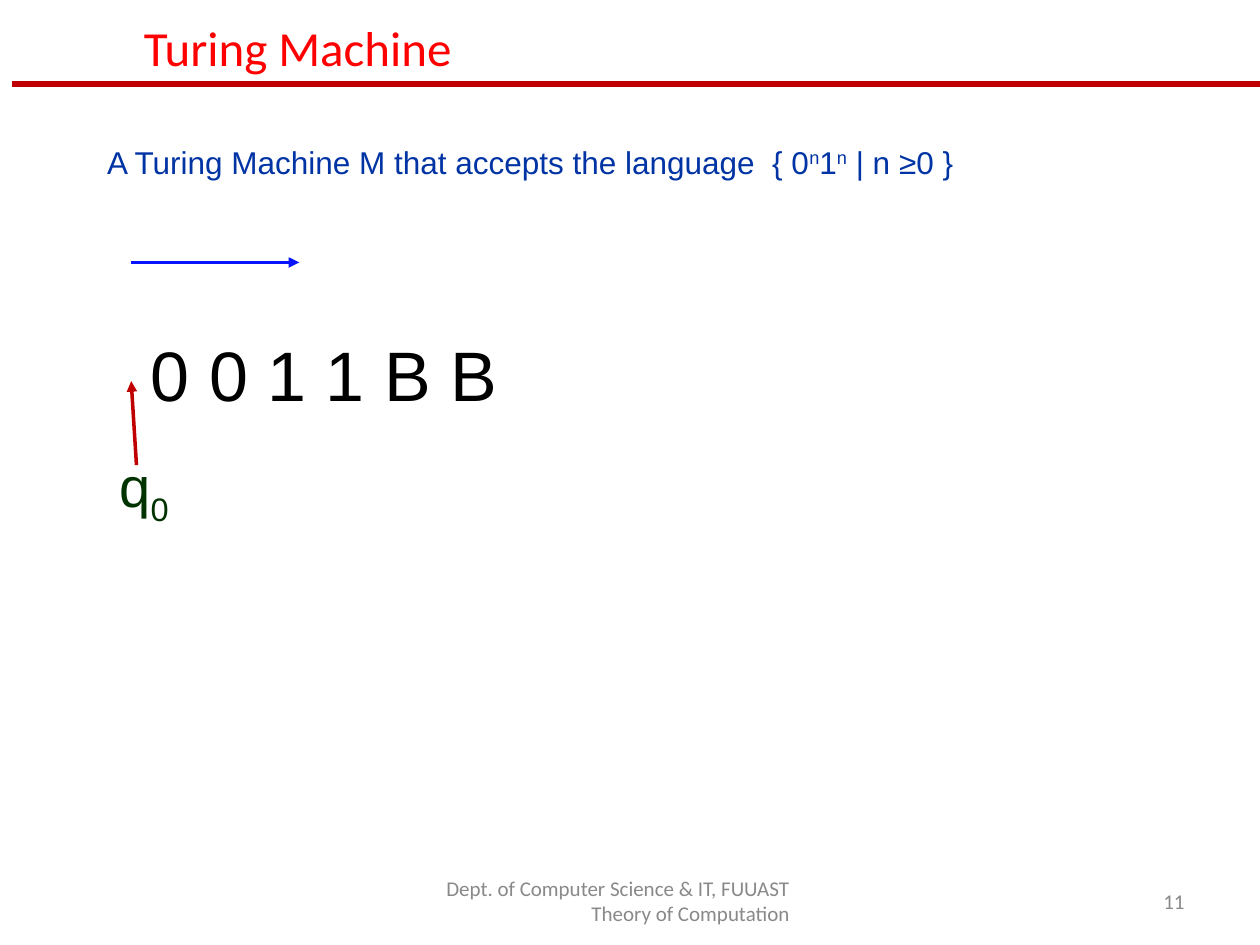
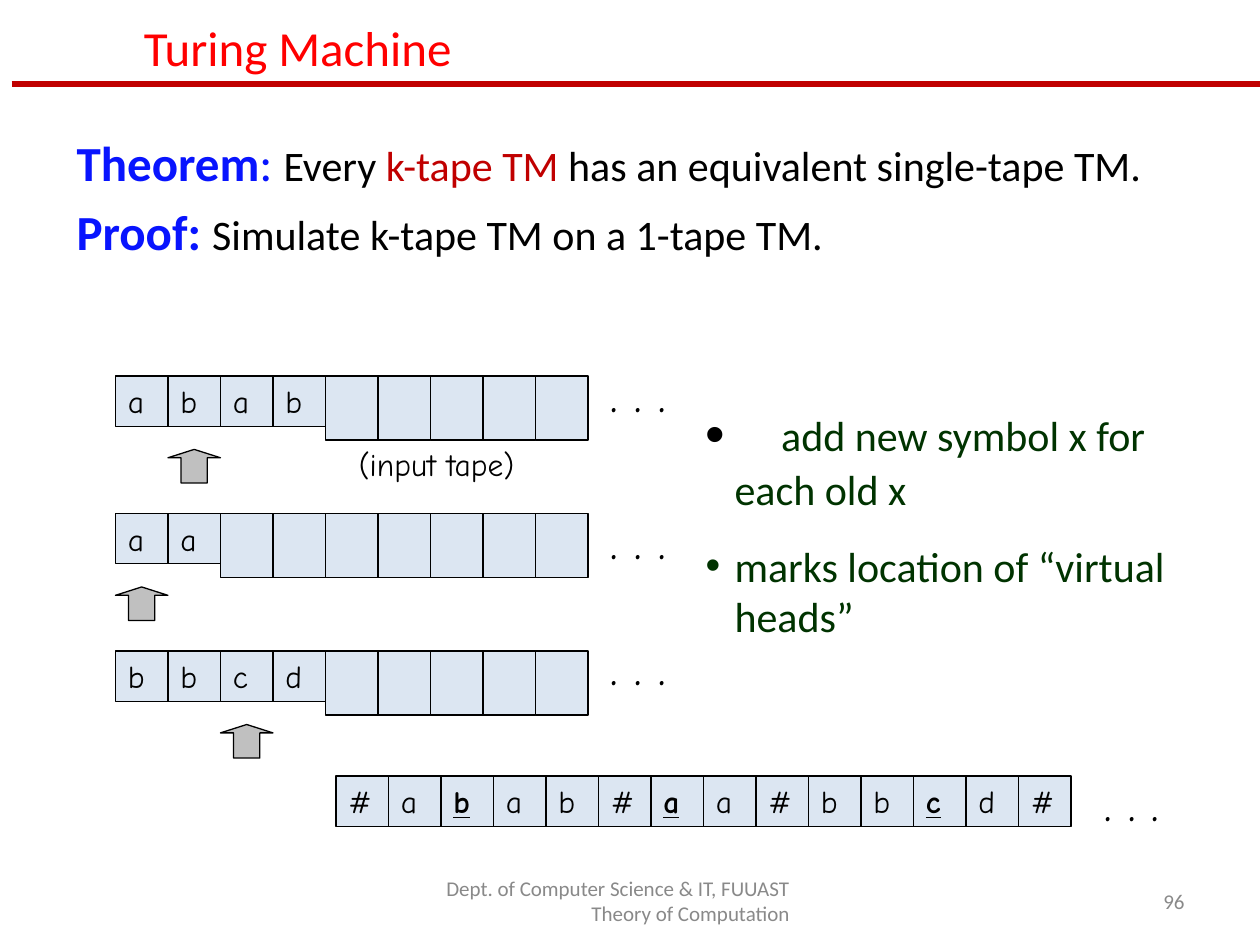
from lxml.etree import SubElement as Sub
from pptx import Presentation
from pptx.dml.color import RGBColor as RGB
from pptx.enum.shapes import MSO_CONNECTOR as Link, MSO_SHAPE as Form
from pptx.enum.text import MSO_ANCHOR as Anchor, MSO_AUTO_SIZE as Fit, PP_ALIGN as Align
from pptx.oxml.ns import qn
from pptx.util import Inches, Pt

BLACK = RGB(0x00, 0x00, 0x00)
GREY = RGB(0x89, 0x89, 0x89)
SILVER = RGB(0xC0, 0xC0, 0xC0)
RED = RGB(0xFF, 0x00, 0x00)
CRIMSON = RGB(0xC0, 0x00, 0x00)
BLUE = RGB(0x08, 0x14, 0xFE)
NAVY = RGB(0x00, 0x33, 0xA4)
GREEN = RGB(0x00, 0x33, 0x00)
PALE = RGB(0xDC, 0xE6, 0xF2)

SANS, BODY, HAND = "Arial", "Calibri", "Comic Neue"

WIDTH, HEIGHT = Inches(10), Inches(7.5)
COLS, ROWS = 120, 90
CELL_W, CELL_H, BLANK_H = 5, 4.8, 6.1
TAPE_LEN = 9


def across(cols):
    return round(WIDTH * cols / COLS)


def down(rows):
    return round(HEIGHT * rows / ROWS)


def place(box):
    """Turn a box in columns and rows into left, top, width, height."""
    x, y, w, h = box
    return across(x), down(y), across(w), down(h)


def add_run(para, text, size, color, font=BODY, bold=False, line=False, shift=0):
    run = para.add_run()
    run.text = text
    face = run.font
    face.size, face.name, face.bold, face.underline = Pt(size), font, bold, line
    face.color.rgb = color
    if shift:
        run._r.get_or_add_rPr().set("baseline", str(shift * 1000))


def set_frame(shape, anchor=Anchor.TOP):
    frame = shape.text_frame
    frame.word_wrap = True
    frame.auto_size = Fit.NONE
    frame.vertical_anchor = anchor
    return frame


def add_text(slide, box, anchor=Anchor.TOP):
    return set_frame(slide.shapes.add_textbox(*place(box)), anchor)


def fill_holder(slide, index, box, anchor=Anchor.TOP):
    """Move a template placeholder to the box and return its text frame."""
    holder = slide.placeholders[index]
    holder.left, holder.top, holder.width, holder.height = place(box)
    return set_frame(holder, anchor)


def next_para(frame, first, before=0):
    para = frame.paragraphs[0] if first else frame.add_paragraph()
    para.alignment = Align.LEFT
    para.space_before = Pt(0 if first else before)
    return para


def set_bullet(para, left=0, color=None, scale=100):
    """Hang the text at left inches; without a colour there is no bullet."""
    props = para._p.get_or_add_pPr()
    props.set("marL", str(Inches(left)))
    props.set("indent", str(-Inches(left) if color is not None else 0))
    if color is None:
        Sub(props, qn("a:buNone"))
        return
    Sub(Sub(props, qn("a:buClr")), qn("a:srgbClr"), val=str(color))
    Sub(props, qn("a:buSzPct"), val=str(scale * 1000))
    Sub(props, qn("a:buFont"), typeface=SANS)
    Sub(props, qn("a:buChar"), char="•")


def add_line(slide, start, end, color, width, arrow=False):
    (x1, y1), (x2, y2) = start, end
    line = slide.shapes.add_connector(
        Link.STRAIGHT, across(x1), down(y1), across(x2), down(y2))
    line.line.color.rgb = color
    line.line.width = Pt(width)
    if arrow:
        Sub(line.line._get_or_add_ln(), qn("a:tailEnd"), type="triangle")
    Sub(line._element.spPr, qn("a:effectLst"))


def add_form(slide, form, box, fill):
    shape = slide.shapes.add_shape(form, *place(box))
    shape.shadow.inherit = False
    shape.fill.solid()
    shape.fill.fore_color.rgb = fill
    shape.line.color.rgb = BLACK
    shape.line.width = Pt(0.75)
    return shape


def draw_base(slide, number):
    """Title, rule, footer and slide number."""
    title = fill_holder(slide, 0, (12.5, 2.05, 82.4, 4.9), Anchor.MIDDLE)
    add_run(next_para(title, True), "Turing Machine", 28, RED)
    add_line(slide, (1.1, 8), (COLS, 8), CRIMSON, 3.25)
    notes = (
        ((38, 83.4, 38.4, 4.8),
         ("Dept. of Computer Science & IT, FUUAST", "Theory of Computation")),
        ((86, 83.4, 28, 4.8), (str(number),)),
    )
    for box, lines in notes:
        frame = add_text(slide, box, Anchor.MIDDLE)
        for i, text in enumerate(lines):
            para = next_para(frame, i == 0)
            para.alignment = Align.RIGHT
            add_run(para, text, 12, GREY)


def draw_claim(slide, box):
    para = next_para(fill_holder(slide, 1, box), True)
    set_bullet(para)
    parts = (("A Turing Machine M that accepts the language  { 0", 0),
             ("n", 30), ("1", 0), ("n", 30), (" | n ≥0 }", 0))
    for text, shift in parts:
        add_run(para, text, 18, NAVY, SANS, shift=shift)


def draw_state(slide, box):
    """Tape content with the head in its start state."""
    x, y, w, h = box
    add_line(slide, (x + 2.3, y), (x + 18.3, y), BLUE, 2, True)
    tape = add_text(slide, (x + 3, y + 6, w - 3, 9.2))
    add_run(next_para(tape, True), "0 0 1 1 B B", 40, BLACK, SANS)
    state = next_para(add_text(slide, (x, y + h - 8.5, 9, 8.5)), True)
    add_run(state, "q", 32, GREEN, SANS)
    add_run(state, "0", 32, GREEN, SANS, shift=-25)
    add_line(slide, (x + 2.8, y + 19.3), (x + 2.3, y + 11.3), CRIMSON, 2, True)


def draw_proof(slide, box):
    frame = fill_holder(slide, 1, box)
    lines = (
        (("Theorem", 28, BLUE, True), (": ", 28, BLUE, False),
         ("Every ", 24, BLACK, False), ("k-tape TM ", 24, CRIMSON, False),
         ("has an equivalent single-tape TM.", 24, BLACK, False)),
        (("Proof: ", 28, BLUE, True),
         ("Simulate k-tape TM on a 1-tape TM.", 24, BLACK, False)),
    )
    for i, parts in enumerate(lines):
        para = next_para(frame, i == 0, 6)
        set_bullet(para)
        for text, size, color, bold in parts:
            add_run(para, text, size, color, bold=bold)


def draw_points(slide, box):
    frame = fill_holder(slide, 2, box)
    points = (
        ("add new symbol x for", 0.6, BLACK, 133, 0),
        ("each old x", 0.23, None, 100, 2),
        ("marks location of “virtual heads”", 0.23, GREEN, 100, 15),
    )
    for i, (text, left, dot, scale, before) in enumerate(points):
        para = next_para(frame, i == 0, before)
        set_bullet(para, left, dot, scale)
        add_run(para, text, 24, GREEN)


def draw_cells(slide, x, y, signs, count, marks=()):
    """A row of cells; those past the last sign are blank and taller."""
    for i in range(count):
        high = CELL_H if i < len(signs) else BLANK_H
        box = (x + i * CELL_W, y, CELL_W, high)
        cell = add_form(slide, Form.RECTANGLE, box, PALE)
        if i < len(signs):
            marked = i in marks
            add_run(next_para(set_frame(cell), True), signs[i], 18, BLACK,
                    HAND, marked, marked)


def draw_dots(slide, x, y, w):
    para = next_para(add_text(slide, (x, y, w, 6.8)), True)
    add_run(para, ". . .", 28, BLACK, HAND)


def draw_tapes(slide, box):
    """Three tapes, each with a head under the cell it reads."""
    x, y, w, h = box
    tapes = (("abab", 1, 34), ("aa", 0, 48), ("bbcd", 2, 60))
    for i, (signs, head, dots) in enumerate(tapes):
        top = y + i * h / len(tapes)
        draw_cells(slide, x, top, signs, TAPE_LEN)
        spot = (x + head * CELL_W, top + 7, CELL_W, 3.2)
        add_form(slide, Form.UP_ARROW, spot, SILVER).adjustments[1] = 0.25
        draw_dots(slide, x + TAPE_LEN * CELL_W + 1, dots, 19)
    label = next_para(add_text(slide, (x + 22, y + 6, 31, 4.8)), True)
    add_run(label, "(input tape)", 18, BLACK, HAND)


def draw_single(slide, box):
    """The one tape that holds all three, with the read cells marked."""
    x, y, w, h = box
    signs = "#abab#aa#bbcd#"
    draw_cells(slide, x, y, signs, len(signs), (2, 6, 11))
    draw_dots(slide, x + w - 11, y - 0.9, 11)


def main():
    deck = Presentation()
    deck.slide_width, deck.slide_height = WIDTH, HEIGHT
    plain, split = deck.slide_layouts[1], deck.slide_layouts[3]

    start = deck.slides.add_slide(plain)
    draw_base(start, 11)
    draw_claim(start, (9, 13, 105, 4.8))
    draw_state(start, (10.2, 25, 45, 25.9))

    proof = deck.slides.add_slide(split)
    draw_base(proof, 96)
    draw_proof(proof, (6.1, 12, 107.3, 22))
    draw_tapes(proof, (11, 35.8, 65, 39.3))
    draw_single(proof, (32, 73.9, 83, 4.8))
    draw_points(proof, (66, 38.4, 49, 23))

    deck.save("out.pptx")


if __name__ == "__main__":
    main()
